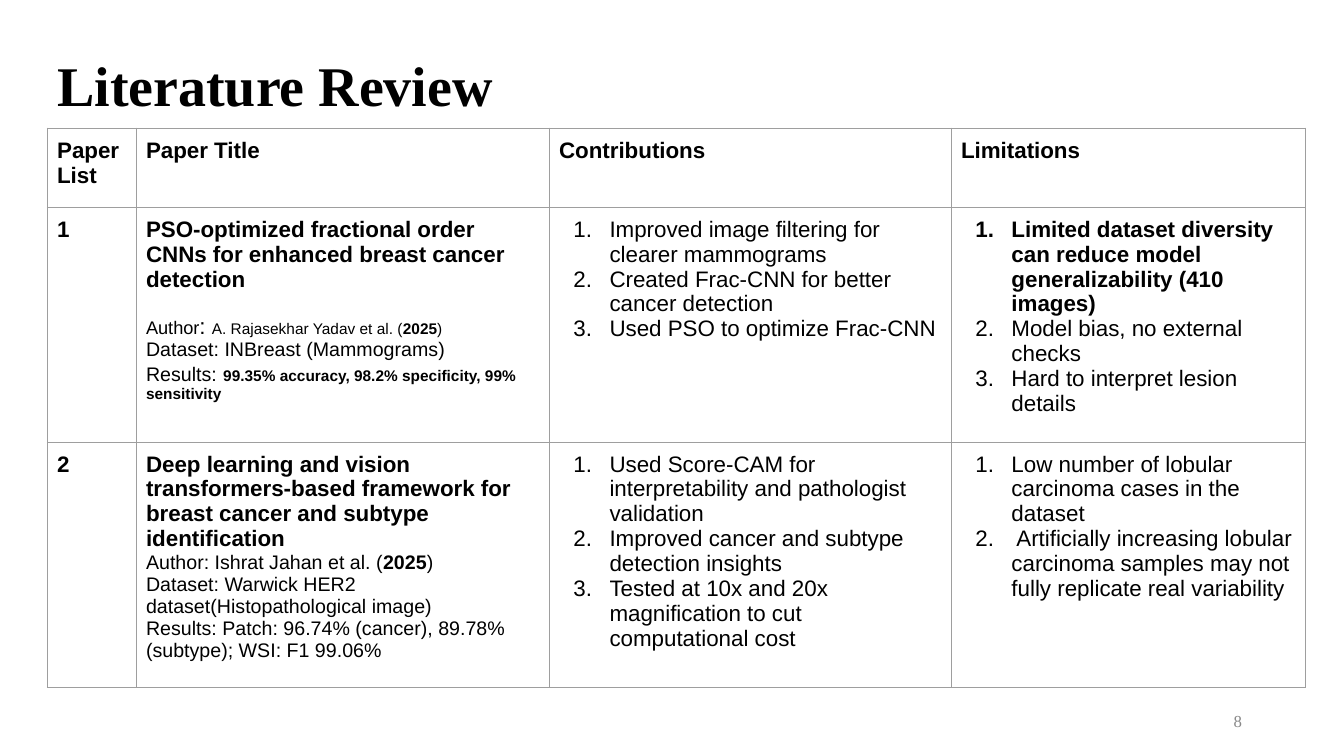
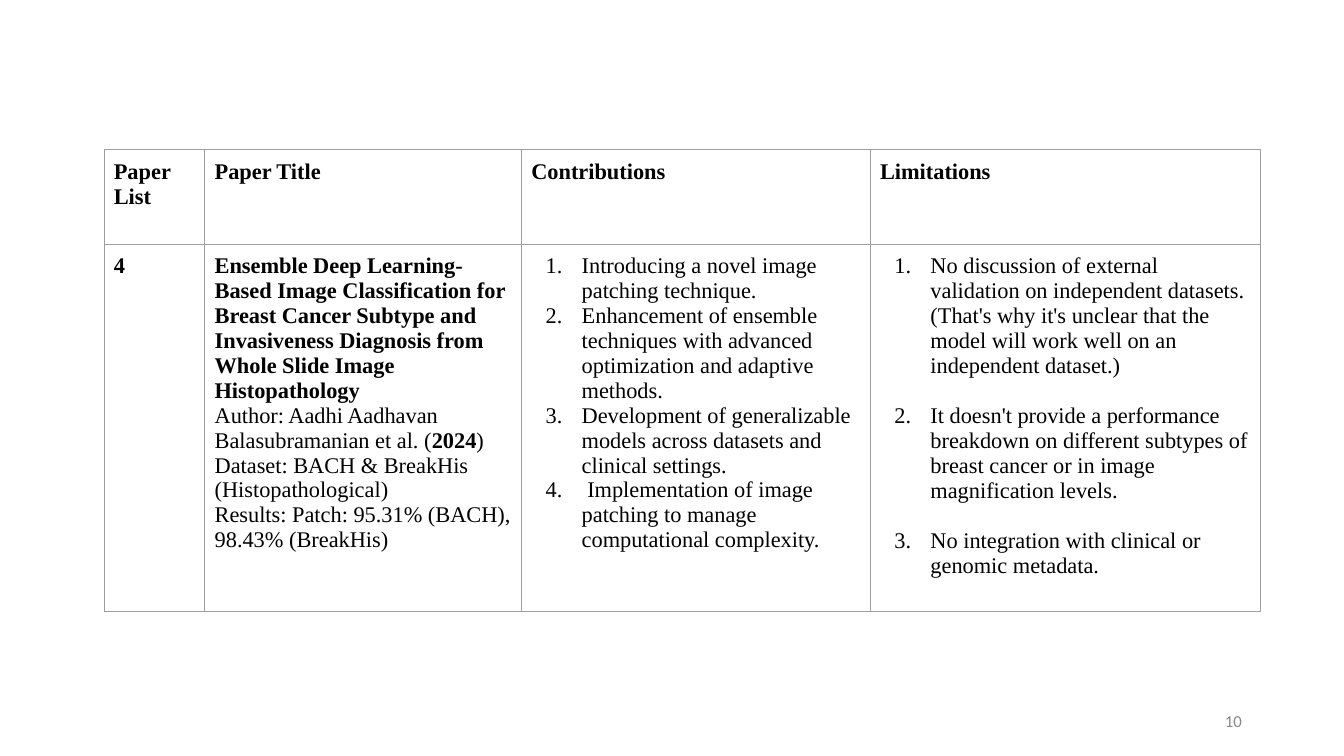
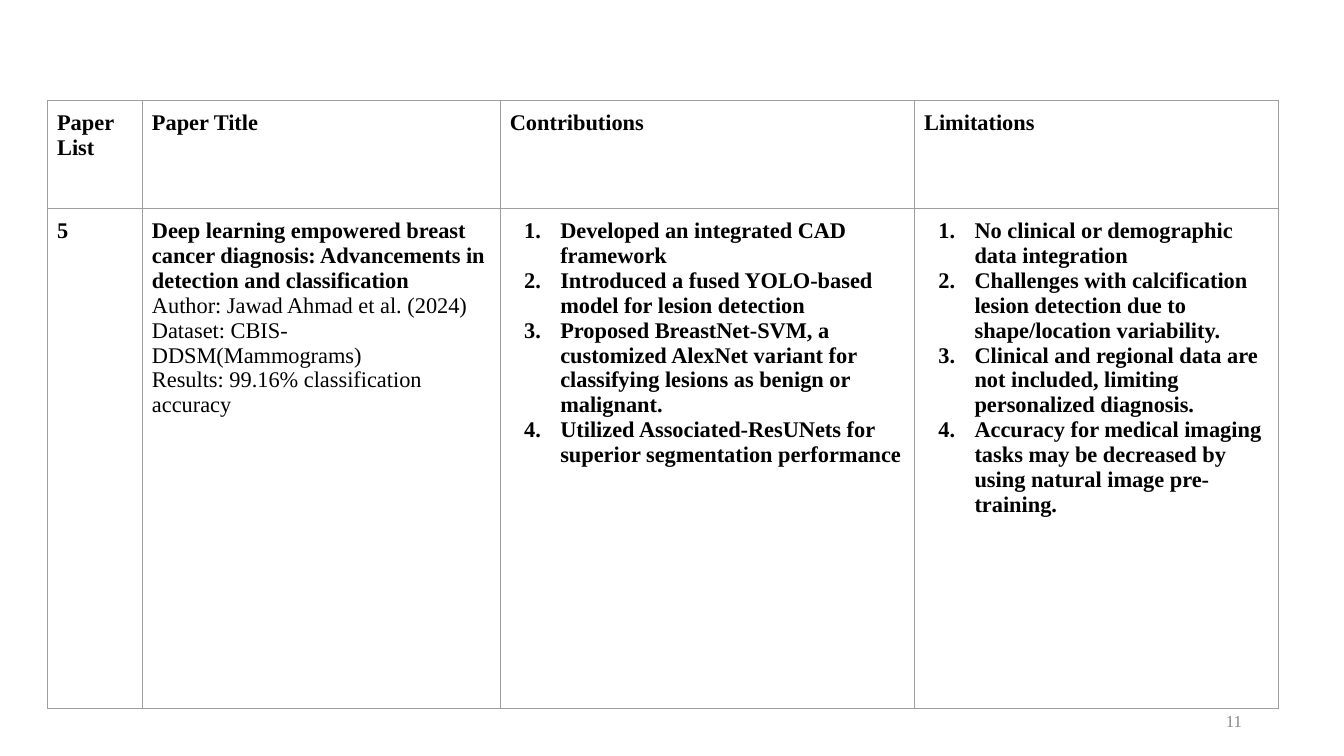
from dataclasses import dataclass

from lxml.etree import SubElement
from pptx import Presentation
from pptx.dml.color import RGBColor
from pptx.enum.text import MSO_ANCHOR as Anchor, PP_ALIGN as Align
from pptx.oxml.ns import qn
from pptx.util import Cm, Pt

BLACK = RGBColor(0x00, 0x00, 0x00)
PAGE_GRAY = RGBColor(0x88, 0x88, 0x88)
BORDER_GRAY = RGBColor(0x9E, 0x9E, 0x9E)
SANS = "Arial"
SERIF = "Times New Roman"
TITLE_ONLY, BLANK = 5, 6
CELL_MARGIN = Cm(0.25)
LIST_INDENT, LIST_HANGING = Cm(1.27), Cm(0.91)
HEADINGS = ("Paper List", "Paper Title", "Contributions", "Limitations")


@dataclass(frozen=True)
class Span:
    text: str
    size: float = 16
    bold: bool = False


@dataclass(frozen=True)
class Line:
    spans: tuple[Span, ...]
    numbered: bool = False
    space_before: float = 0


@dataclass(frozen=True)
class Paper:
    number: str
    details: list[Line]
    contributions: list[Line]
    limitations: list[Line]


@dataclass(frozen=True)
class ReviewSlide:
    page: str
    page_font: str
    table_font: str
    left: float
    top: float
    columns: tuple[float, ...]
    rows: tuple[float, ...]
    papers: tuple[Paper, ...]
    title: str = ""


def plain(text: str, size: float = 16) -> Line:
    return Line((Span(text, size),))


def strong(text: str) -> Line:
    return Line((Span(text, bold=True),))


def author(name: str, year: str, size: float = 16) -> Line:
    return Line((Span(f"Author: {name} (", size), Span(year, size, True), Span(")", size)))


def numbered(*items: str, bold: bool = False, gap: float = 0) -> list[Line]:
    """Make numbered lines, with a gap in points between them."""
    return [Line((Span(item, bold=bold),), True, gap if index else 0)
            for index, item in enumerate(items)]


REVIEWS = (
    ReviewSlide(
        "8", SERIF, SANS, 1.19, 3.23, (2.24, 10.41, 10.13, 8.92), (1.99, 5.53, 5.8),
        (
            Paper(
                "1",
                [
                    strong("PSO-optimized fractional order CNNs for enhanced breast cancer detection"),
                    Line((Span("Author", 13), Span(": "),
                          Span("A. Rajasekhar Yadav et al. (", 11),
                          Span("2025", 11, True), Span(")", 11)), space_before=16),
                    plain("Dataset: INBreast (Mammograms)", 14),
                    Line((Span("Results:", 14), Span(" "),
                          Span("99.35% accuracy, 98.2% specificity, 99% sensitivity", 11, True))),
                ],
                numbered(
                    "Improved image filtering for clearer mammograms",
                    "Created Frac-CNN for better cancer detection",
                    "Used PSO to optimize Frac-CNN",
                ),
                numbered(
                    "Limited dataset diversity can reduce model generalizability (410 images)",
                    bold=True,
                ) + numbered(
                    "Model bias, no external checks",
                    "Hard to interpret lesion details",
                ),
            ),
            Paper(
                "2",
                [
                    strong("Deep learning and vision transformers-based framework for "
                           "breast cancer and subtype identification"),
                    author("Ishrat Jahan et al.", "2025", 14),
                    plain("Dataset: Warwick HER2 dataset(Histopathological image)", 14),
                    plain("Results: Patch: 96.74% (cancer), 89.78% (subtype); WSI: F1 99.06%", 14),
                ],
                numbered(
                    "Used Score-CAM for interpretability and pathologist validation",
                    "Improved cancer and subtype detection insights",
                    "Tested at 10x and 20x magnification to cut computational cost",
                ),
                numbered(
                    "Low number of lobular carcinoma cases in the dataset",
                    " Artificially increasing lobular carcinoma samples may not "
                    "fully replicate real variability",
                ),
            ),
        ),
        title="Literature Review",
    ),
    ReviewSlide(
        "10", "Calibri", SERIF, 2.62, 3.76, (2.54, 7.98, 8.79, 9.83), (2.39, 9.27),
        (
            Paper(
                "4",
                [
                    strong("Ensemble Deep Learning-Based Image Classification for Breast Cancer "
                           "Subtype and Invasiveness Diagnosis from Whole Slide Image Histopathology"),
                    author("Aadhi Aadhavan Balasubramanian et al.", "2024"),
                    plain("Dataset: BACH & BreakHis (Histopathological)"),
                    plain("Results: Patch: 95.31% (BACH), 98.43% (BreakHis)"),
                ],
                numbered(
                    "Introducing a novel image patching technique.",
                    "Enhancement of ensemble techniques with advanced optimization "
                    "and adaptive methods.",
                    "Development of generalizable models across datasets and clinical settings.",
                    " Implementation of image patching to manage computational complexity.",
                ),
                numbered(
                    "No discussion of external validation on independent datasets. (That's why "
                    "it's unclear that the model will work well on an independent dataset.)",
                    "It doesn't provide a performance breakdown on different subtypes of "
                    "breast cancer or in image magnification levels.",
                    "No integration with clinical or genomic metadata.",
                    gap=18,
                ),
            ),
        ),
    ),
    ReviewSlide(
        "11", SERIF, SERIF, 1.19, 2.54, (2.39, 9.02, 10.44, 9.17), (2.72, 12.6),
        (
            Paper(
                "5",
                [
                    strong("Deep learning empowered breast cancer diagnosis: "
                           "Advancements in detection and classification"),
                    plain("Author: Jawad Ahmad et al. (2024)"),
                    plain("Dataset: CBIS-DDSM(Mammograms)"),
                    plain("Results: 99.16% classification accuracy"),
                ],
                numbered(
                    "Developed an integrated CAD framework",
                    "Introduced a fused YOLO-based model for lesion detection",
                    "Proposed BreastNet-SVM, a customized AlexNet variant for "
                    "classifying lesions as benign or malignant.",
                    "Utilized Associated-ResUNets for superior segmentation performance",
                    bold=True,
                ),
                numbered(
                    "No clinical or demographic data integration",
                    "Challenges with calcification lesion detection due to "
                    "shape/location variability.",
                    "Clinical and regional data are not included, limiting personalized diagnosis.",
                    "Accuracy for medical imaging tasks may be decreased by using "
                    "natural image pre-training.",
                    bold=True,
                ),
            ),
        ),
    ),
)


def add_run(paragraph, span: Span, font_name: str, color: RGBColor = BLACK) -> None:
    run = paragraph.add_run()
    run.text = span.text
    run.font.name = font_name
    run.font.size = Pt(span.size)
    run.font.bold = span.bold
    run.font.color.rgb = color


def number_paragraph(paragraph, font_name: str) -> None:
    properties = paragraph._p.get_or_add_pPr()
    properties.set("marL", str(LIST_INDENT))
    properties.set("indent", str(-LIST_HANGING))
    bullet_color = SubElement(properties, qn("a:buClr"))
    SubElement(bullet_color, qn("a:srgbClr"), val=str(BLACK))
    SubElement(properties, qn("a:buFont"), typeface=font_name)
    SubElement(properties, qn("a:buAutoNum"), type="arabicPeriod")


def format_cell(cell) -> None:
    """Give a cell its margins, thin borders and no fill."""
    cell.margin_left = cell.margin_right = CELL_MARGIN
    cell.margin_top = cell.margin_bottom = CELL_MARGIN
    cell.vertical_anchor = Anchor.TOP
    properties = cell._tc.get_or_add_tcPr()
    for side in ("lnL", "lnR", "lnT", "lnB"):
        border = SubElement(properties, qn(f"a:{side}"), w=str(Pt(0.75)))
        fill = SubElement(border, qn("a:solidFill"))
        SubElement(fill, qn("a:srgbClr"), val=str(BORDER_GRAY))
    cell.fill.background()


def fill_cell(cell, lines: list[Line], font_name: str) -> None:
    format_cell(cell)
    frame = cell.text_frame
    for index, line in enumerate(lines):
        paragraph = frame.add_paragraph() if index else frame.paragraphs[0]
        if line.numbered:
            number_paragraph(paragraph, font_name)
        if line.space_before:
            paragraph.space_before = Pt(line.space_before)
        for span in line.spans:
            add_run(paragraph, span, font_name)


def add_title(slide, text: str) -> None:
    title = slide.shapes.title
    title.left, title.top, title.width, title.height = Cm(1.19), Cm(1.22), Cm(23.57), Cm(2.01)
    title.text_frame.vertical_anchor = Anchor.MIDDLE
    paragraph = title.text_frame.paragraphs[0]
    paragraph.alignment = Align.LEFT
    paragraph.line_spacing = 0.9
    add_run(paragraph, Span(text, 40, True), SERIF)


def add_page_number(slide, number: str, font_name: str) -> None:
    box = slide.shapes.add_textbox(Cm(23.93), Cm(17.65), Cm(7.62), Cm(1.02))
    box.text_frame.word_wrap = True
    box.text_frame.vertical_anchor = Anchor.MIDDLE
    paragraph = box.text_frame.paragraphs[0]
    paragraph.alignment = Align.RIGHT
    add_run(paragraph, Span(number, 12), font_name, PAGE_GRAY)


def add_review_table(slide, review: ReviewSlide) -> None:
    table = slide.shapes.add_table(
        len(review.rows), len(review.columns), Cm(review.left), Cm(review.top),
        Cm(sum(review.columns)), Cm(sum(review.rows))).table
    table.first_row = table.horz_banding = False
    for column, width in zip(table.columns, review.columns):
        column.width = Cm(width)
    for row, height in zip(table.rows, review.rows):
        row.height = Cm(height)
    contents = [[[strong(heading)] for heading in HEADINGS]]
    contents += [[[strong(paper.number)], paper.details, paper.contributions, paper.limitations]
                 for paper in review.papers]
    for row, row_contents in zip(table.rows, contents):
        for cell, lines in zip(row.cells, row_contents):
            fill_cell(cell, lines, review.table_font)


def main() -> None:
    presentation = Presentation()
    presentation.slide_width, presentation.slide_height = Cm(33.87), Cm(19.05)
    for review in REVIEWS:
        layout = presentation.slide_layouts[TITLE_ONLY if review.title else BLANK]
        slide = presentation.slides.add_slide(layout)
        if review.title:
            add_title(slide, review.title)
        add_page_number(slide, review.page, review.page_font)
        add_review_table(slide, review)
    presentation.save("out.pptx")


if __name__ == "__main__":
    main()
